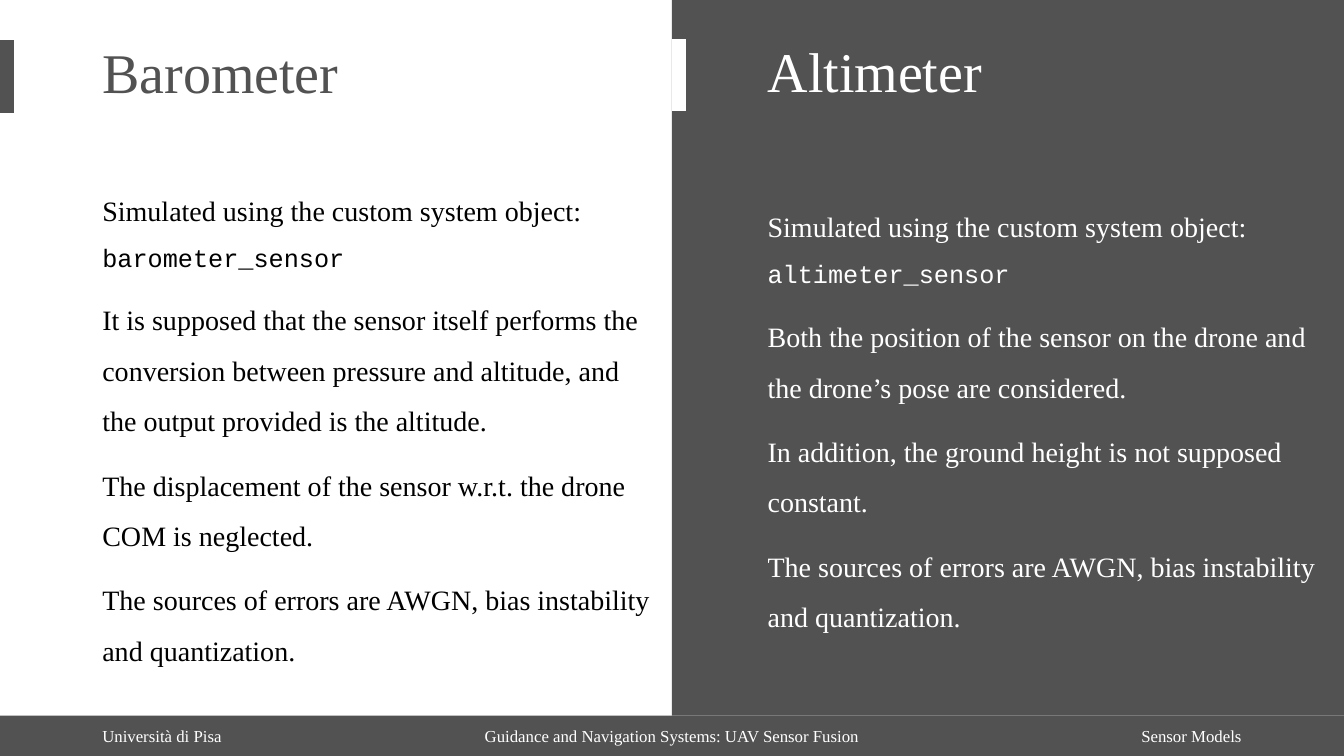
"""Build a two-panel slide comparing the barometer and altimeter sensor models."""
from dataclasses import dataclass

from pptx import Presentation
from pptx.dml.color import RGBColor
from pptx.enum.shapes import MSO_CONNECTOR, MSO_SHAPE
from pptx.enum.text import MSO_ANCHOR, MSO_AUTO_SIZE, PP_ALIGN
from pptx.oxml.ns import qn
from pptx.util import Inches, Pt
from lxml import etree

RECT = MSO_SHAPE.RECTANGLE
STRAIGHT = MSO_CONNECTOR.STRAIGHT
LEFT, CENTER, RIGHT = PP_ALIGN.LEFT, PP_ALIGN.CENTER, PP_ALIGN.RIGHT
TOP, MIDDLE = MSO_ANCHOR.TOP, MSO_ANCHOR.MIDDLE
GROW = MSO_AUTO_SIZE.SHAPE_TO_FIT_TEXT

COLS, ROWS = 160, 90
WIDTH, HEIGHT = Inches(13.33), Inches(7.5)
FOOTER_ROW, FOOTER_ROWS = 85.2, 4.8
TITLE_COLS, TITLE_ROWS = 66.7, 8.5
BODY_COLS, BODY_ROWS = 68, 57.1
TICK_INSET, TICK_ROWS = 0.83, 8.6


@dataclass(frozen=True)
class Theme:
    """Colours, fonts and type sizes of the slide."""
    grey: RGBColor = RGBColor(0x52, 0x52, 0x52)
    white: RGBColor = RGBColor(0xFF, 0xFF, 0xFF)
    black: RGBColor = RGBColor(0, 0, 0)
    serif: str = "Times New Roman"
    mono: str = "Courier New"
    title: Pt = Pt(40)
    body: Pt = Pt(20)
    code: Pt = Pt(18)
    footer: Pt = Pt(12)
    tick: Pt = Pt(10)
    gap: Pt = Pt(10)


THEME = Theme()


@dataclass(frozen=True)
class Panel:
    """One sensor's content, grid position and colours."""
    title: str
    sensor: str
    notes: tuple
    col: float
    text_col: float
    title_row: float
    body_row: float
    accent: RGBColor
    ink: RGBColor


ERRORS = "The sources of errors are AWGN, bias instability and quantization."

PANELS = (
    Panel("Barometer", "barometer_sensor",
          ("It is supposed that the sensor itself performs the conversion between "
           "pressure and altitude, and the output provided is the altitude.",
           "The displacement of the sensor w.r.t. the drone COM is neglected.",
           ERRORS),
          0, 11, 4.8, 20.4, THEME.grey, THEME.black),
    Panel("Altimeter", "altimeter_sensor",
          ("Both the position of the sensor on the drone and the drone’s pose "
           "are considered.",
           "In addition, the ground height is not supposed constant.",
           ERRORS),
          80, 90.2, 4.65, 22.4, THEME.white, THEME.white),
)

FOOTERS = (
    ("Università di Pisa", 11, 36, LEFT),
    ("Guidance and Navigation Systems: UAV Sensor Fusion", 53, 54, CENTER),
    ("Sensor Models", 113, 36, RIGHT),
)


def grid(col, row, cols, rows):
    """Convert a grid position and extent to slide lengths."""
    return (int(WIDTH * col / COLS), int(HEIGHT * row / ROWS),
            int(WIDTH * cols / COLS), int(HEIGHT * rows / ROWS))


def style(font, name, size, color):
    """Set the typeface, size and colour of a font."""
    font.name, font.size = name, size
    font.color.rgb = color


def add_block(slide, *cells):
    """Add a plain grey rectangle."""
    sp = slide.shapes.add_shape(RECT, *grid(*cells))
    sp.shadow.inherit = False
    sp.fill.solid()
    sp.fill.fore_color.rgb = THEME.grey
    sp.line.fill.background()


def add_frame(slide, cells, anchor=TOP):
    """Add a wrapping text box and return its text frame."""
    tf = slide.shapes.add_textbox(*grid(*cells)).text_frame
    tf.word_wrap = True
    tf.vertical_anchor = anchor
    return tf


def add_tick(slide, col, row, color):
    """Add the thick vertical accent beside a title."""
    x, y, _, h = grid(col + TICK_INSET, row, 0, TICK_ROWS)
    line = slide.shapes.add_connector(STRAIGHT, x, y, x, y + h)
    line.line.color.rgb = color
    line.line.width = THEME.tick
    etree.SubElement(line._element.spPr, qn("a:effectLst"))


def add_title(slide, panel):
    """Add a panel title."""
    tf = add_frame(slide, (panel.text_col, panel.title_row, TITLE_COLS, TITLE_ROWS))
    tf.auto_size = GROW
    p = tf.paragraphs[0]
    p.text = panel.title
    p.line_spacing = 0.9
    style(p.font, THEME.serif, THEME.title, panel.accent)


def add_body(slide, panel):
    """Add the system object name and the notes of a panel."""
    tf = add_frame(slide, (panel.text_col, panel.body_row, BODY_COLS, BODY_ROWS))
    p = tf.paragraphs[0]
    p.line_spacing = 1.5
    for text, name, size in (
            ("Simulated using the custom system object: ", THEME.serif, THEME.body),
            (panel.sensor, THEME.mono, THEME.code)):
        r = p.add_run()
        r.text = text
        style(r.font, name, size, panel.ink)
    for note in panel.notes:
        p = tf.add_paragraph()
        p.text = note
        p.line_spacing = 1.5
        p.space_before = THEME.gap
        style(p.font, THEME.serif, THEME.body, panel.ink)


def add_footer(slide, text, col, cols, align):
    """Add one label on the footer band."""
    tf = add_frame(slide, (col, FOOTER_ROW, cols, FOOTER_ROWS), MIDDLE)
    p = tf.paragraphs[0]
    p.text = text
    p.alignment = align
    style(p.font, THEME.serif, THEME.footer, THEME.white)


def main():
    """Build and save the slide."""
    prs = Presentation()
    prs.slide_width, prs.slide_height = WIDTH, HEIGHT
    slide = prs.slides.add_slide(prs.slide_layouts[6])
    add_block(slide, 0, FOOTER_ROW, COLS, FOOTER_ROWS)
    add_block(slide, COLS / 2, 0, COLS / 2, FOOTER_ROW)
    for footer in FOOTERS:
        add_footer(slide, *footer)
    for panel in PANELS:
        add_title(slide, panel)
        add_tick(slide, panel.col, panel.title_row, panel.accent)
        add_body(slide, panel)
    prs.save("out.pptx")


if __name__ == "__main__":
    main()
